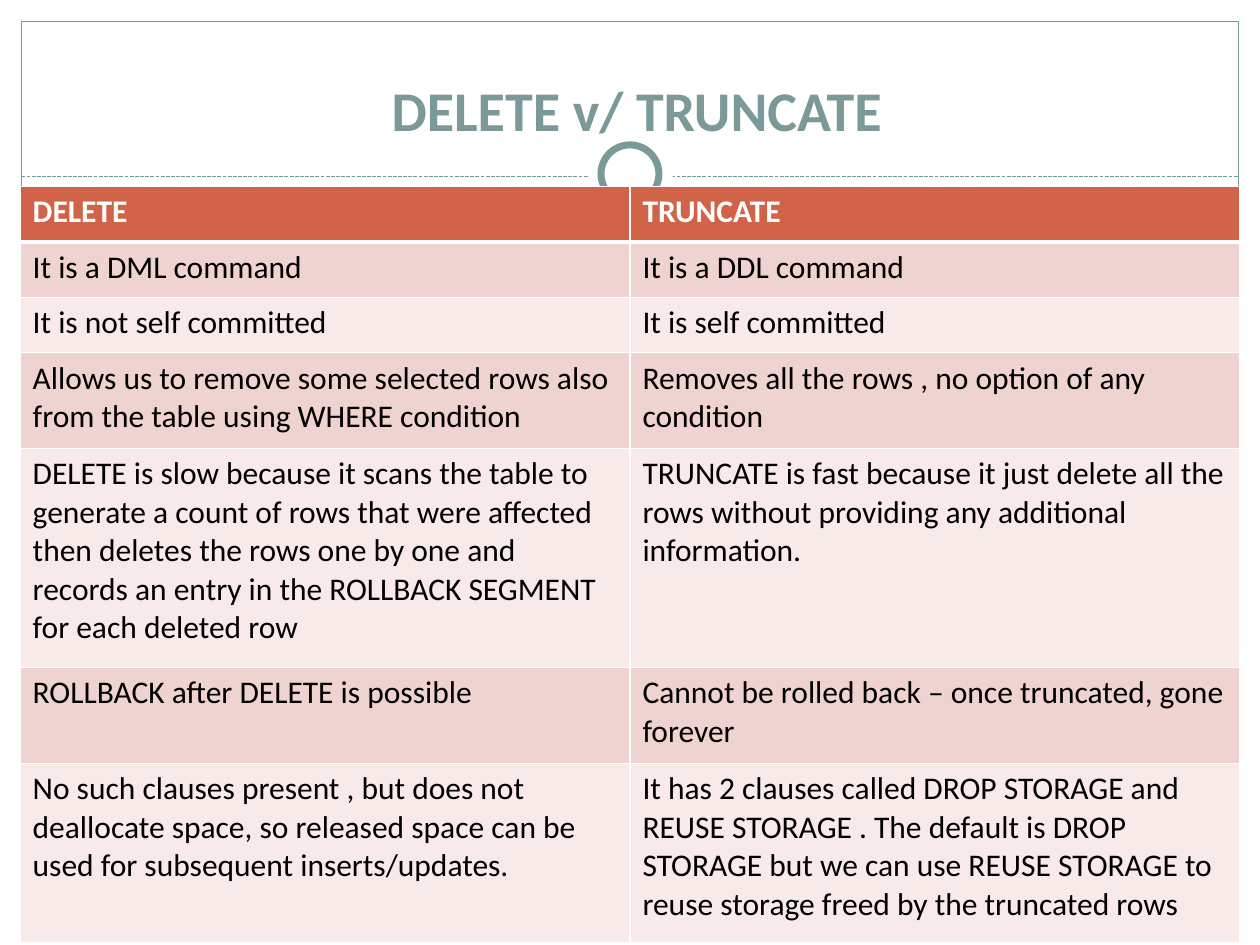
from pptx import Presentation
from pptx.dml.color import RGBColor
from pptx.enum.dml import MSO_LINE
from pptx.enum.shapes import MSO_CONNECTOR, MSO_SHAPE
from pptx.enum.text import MSO_ANCHOR, MSO_AUTO_SIZE, PP_ALIGN
from pptx.oxml import parse_xml
from pptx.oxml.ns import nsdecls
from pptx.util import Inches, Pt

WHITE, TEAL = "FFFFFF", "7C999A"


def color(value):
    return RGBColor.from_string(value)


def add_panel(kind, bounds, fill=None, line=None, width=0.75):
    panel = page.shapes.add_shape(kind, *[Inches(length) for length in bounds])
    panel.shadow.inherit = False
    if fill:
        panel.fill.solid()
        panel.fill.fore_color.rgb = color(fill)
    else:
        panel.fill.background()
    if line:
        panel.line.color.rgb = color(line)
        panel.line.width = Pt(width)
    else:
        panel.line.fill.background()


deck = Presentation()
deck.slide_width, deck.slide_height = Inches(10), Inches(7.5)
page = deck.slides.add_slide(deck.slide_layouts[5])
page.background.fill.solid()
page.background.fill.fore_color.rgb = color("C5D1D7")

margins = [(0, 7.33, 10, 0.17), (0, 0, 10, 1.52), (0, 0, 0.17, 7.5), (9.83, 0, 0.17, 7.5)]
for bounds in margins:
    add_panel(MSO_SHAPE.RECTANGLE, bounds, fill=WHITE)
add_panel(MSO_SHAPE.RECTANGLE, (0.16, 6.99, 9.66, 0.34), fill="8CADAE")
add_panel(MSO_SHAPE.RECTANGLE, (0.17, 0.17, 9.66, 7.16), line=TEAL)

divider = page.shapes.add_connector(
    MSO_CONNECTOR.STRAIGHT, Inches(0.17), Inches(1.4), Inches(9.83), Inches(1.4))
divider.line.color.rgb = color(TEAL)
divider.line.width = Pt(0.75)
divider.line.dash_style = MSO_LINE.SQUARE_DOT
divider._element.spPr.append(parse_xml(f"<a:effectLst {nsdecls('a')}/>"))

add_panel(MSO_SHAPE.OVAL, (4.67, 1.05, 0.67, 0.67), fill=WHITE)
add_panel(MSO_SHAPE.OVAL, (4.77, 1.15, 0.46, 0.46), fill=WHITE, line=TEAL, width=4)

title = page.shapes.title
page.shapes._spTree.append(title._element)
title.left, title.top = Inches(0.39), Inches(0.31)
title.width, title.height = Inches(9.33), Inches(0.83)
frame = title.text_frame
frame.word_wrap = True
frame.auto_size = MSO_AUTO_SIZE.NONE
frame.vertical_anchor = MSO_ANCHOR.BOTTOM
frame.margin_bottom = Inches(0.01)
para = frame.paragraphs[0]
para.alignment = PP_ALIGN.CENTER
span = para.add_run()
span.text = "DELETE v/ TRUNCATE"
span.font.name = "Calibri"
span.font.size = Pt(32)
span.font.bold = True
span.font.color.rgb = color(TEAL)

comparison = [
    (0.44, "DELETE", "TRUNCATE"),
    (0.44, "It is a DML command", "It is a DDL command"),
    (0.44, "It is not self committed", "It is self committed"),
    (0.76, "Allows us to remove some selected rows also from the table using WHERE condition",
     "Removes all the rows , no option of any condition"),
    (1.74, "DELETE is slow because it scans the table to generate a count of rows that were "
     "affected then deletes the rows one by one and records an entry in the ROLLBACK SEGMENT "
     "for each deleted row",
     "TRUNCATE is fast because it just delete all the rows without providing any additional "
     "information."),
    (0.76, "ROLLBACK after DELETE is possible",
     "Cannot be rolled back – once truncated, gone forever"),
    (1.42, "No such clauses present , but does not deallocate space, so released space can be "
     "used for subsequent inserts/updates.",
     "It has 2 clauses called DROP STORAGE and REUSE STORAGE . The default is DROP STORAGE "
     "but we can use REUSE STORAGE to reuse storage freed by the truncated rows"),
]
table = page.shapes.add_table(
    len(comparison), 2, Inches(0.16), Inches(1.48), Inches(9.68), Inches(6)).table
for column in table.columns:
    column.width = Inches(4.84)

for row, (height, *texts) in enumerate(comparison):
    table.rows[row].height = Inches(height)
    header = row == 0
    fill = "D16349" if header else ("F7EAE9", "EED3D0")[row % 2]
    for column, text in enumerate(texts):
        cell = table.cell(row, column)
        span = cell.text_frame.paragraphs[0].add_run()
        span.text = text
        span.font.name = "Calibri"
        span.font.size = Pt(18)
        span.font.bold = header
        span.font.color.rgb = color(WHITE if header else "000000")
        properties = cell._tc.get_or_add_tcPr()
        for side in "LRTB":
            thick = (header and side == "B") or (row == 1 and side == "T")
            properties.append(parse_xml(
                f'<a:ln{side} {nsdecls("a")} w="{Pt(3 if thick else 1)}"><a:solidFill>'
                f'<a:srgbClr val="{WHITE}"/></a:solidFill></a:ln{side}>'))
        cell.fill.solid()
        cell.fill.fore_color.rgb = color(fill)

deck.save("out.pptx")
